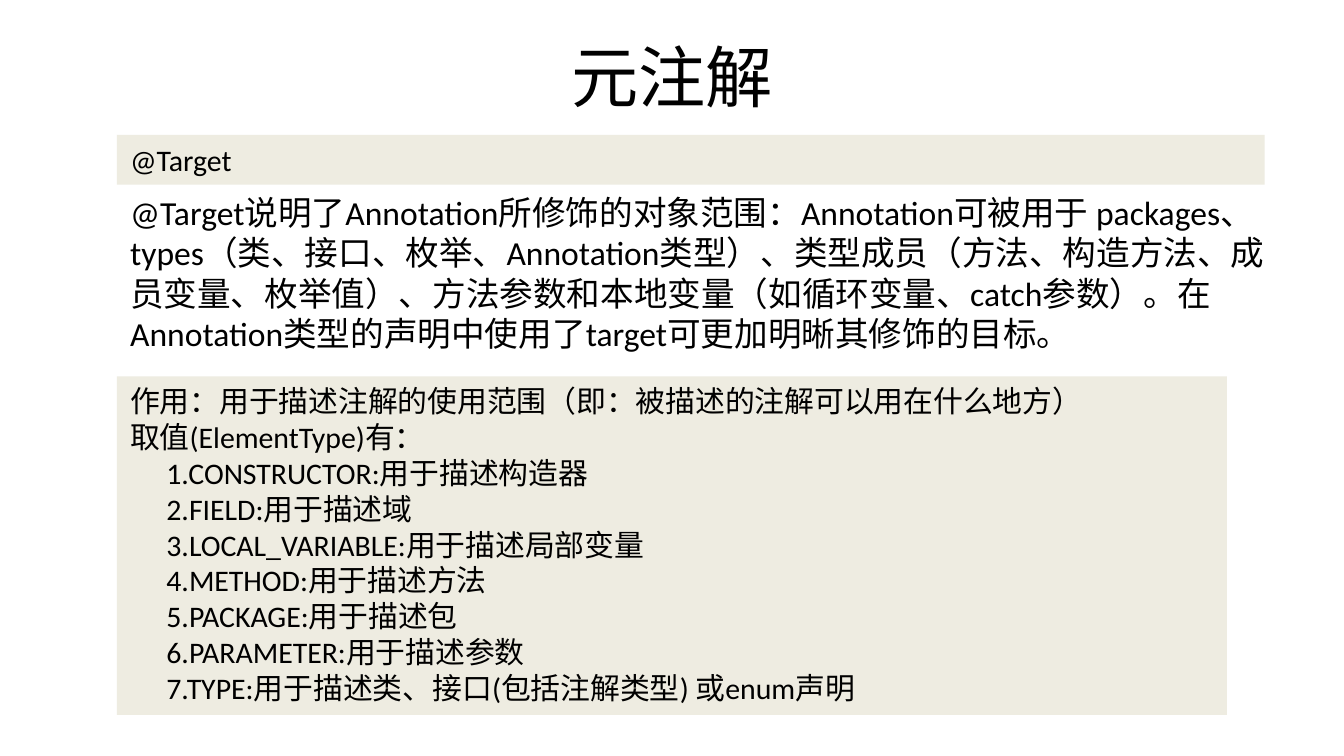
from dataclasses import dataclass

from pptx import Presentation
from pptx.dml.color import RGBColor
from pptx.enum.shapes import MSO_SHAPE
from pptx.enum.text import MSO_ANCHOR, PP_ALIGN
from pptx.slide import Slide
from pptx.util import Inches, Pt

COLORS = {"ink": "000000", "panel": "EEECE1"}
FONT = "Calibri"
WIDTH = Inches(10)
HEIGHT = WIDTH * 9 // 16
LEFT = 8.7  # shared left edge of the content, in percent of the width
ITEM_INDENT = Inches(0.27)


@dataclass
class Block:
    """A text block; its box is given in percent of the slide's size."""
    lines: list[str]
    left: float
    top: float
    width: float
    height: float
    size: int
    fill: str | None = None
    align: PP_ALIGN = PP_ALIGN.LEFT
    anchor: MSO_ANCHOR = MSO_ANCHOR.TOP
    indent_from: int | None = None  # first indented line


def draw_block(slide: Slide, block: Block) -> None:
    box = (int(WIDTH * block.left / 100), int(HEIGHT * block.top / 100),
           int(WIDTH * block.width / 100), int(HEIGHT * block.height / 100))
    if block.fill:
        panel = slide.shapes.add_shape(MSO_SHAPE.RECTANGLE, *box)
        panel.shadow.inherit = False
        panel.fill.solid()
        panel.fill.fore_color.rgb = RGBColor.from_string(COLORS[block.fill])
        panel.line.fill.background()
    else:
        panel = slide.shapes.add_textbox(*box)

    frame = panel.text_frame
    frame.word_wrap = True
    frame.vertical_anchor = block.anchor
    frame.text = "\n".join(block.lines)
    for index, paragraph in enumerate(frame.paragraphs):
        paragraph.alignment = block.align
        paragraph.font.name = FONT
        paragraph.font.size = Pt(block.size)
        paragraph.font.color.rgb = RGBColor.from_string(COLORS["ink"])
        if block.indent_from is not None and index >= block.indent_from:
            paragraph._p.get_or_add_pPr().set("marL", str(ITEM_INDENT))


# Content
element_types = [
    "CONSTRUCTOR:用于描述构造器",
    "FIELD:用于描述域",
    "LOCAL_VARIABLE:用于描述局部变量",
    "METHOD:用于描述方法",
    "PACKAGE:用于描述包",
    "PARAMETER:用于描述参数",
    "TYPE:用于描述类、接口(包括注解类型) 或enum声明",
]
usage = [
    "作用：用于描述注解的使用范围（即：被描述的注解可以用在什么地方）",
    "取值(ElementType)有：",
    *(f"{number}.{entry}" for number, entry in enumerate(element_types, 1)),
]
definition = (
    "@Target说明了Annotation所修饰的对象范围：Annotation可被用于 "
    "packages、types（类、接口、枚举、Annotation类型）、类型成员（方法、"
    "构造方法、成员变量、枚举值）、方法参数和本地变量（如循环变量、catch"
    "参数）。在Annotation类型的声明中使用了target可更加明晰其修饰的目标。"
)

BLOCKS = [
    # Title
    Block(["元注解"], 5, 1.6, 90, 16.71, 36,
          align=PP_ALIGN.CENTER, anchor=MSO_ANCHOR.MIDDLE),
    # Definition
    Block([definition], LEFT, 24.53, 87.1, 13.51, 18),
    # Usage and element types
    Block(usage, LEFT, 49.78, 82.6, 44.8, 16, fill="panel", indent_from=2),
    # Annotation name
    Block(["@Target"], LEFT, 17.84, 85.4, 6.58, 16, fill="panel"),
]


def main() -> None:
    deck = Presentation()
    deck.slide_width, deck.slide_height = WIDTH, HEIGHT
    slide = deck.slides.add_slide(deck.slide_layouts[6])
    for block in BLOCKS:
        draw_block(slide, block)
    deck.save("out.pptx")


if __name__ == "__main__":
    main()
